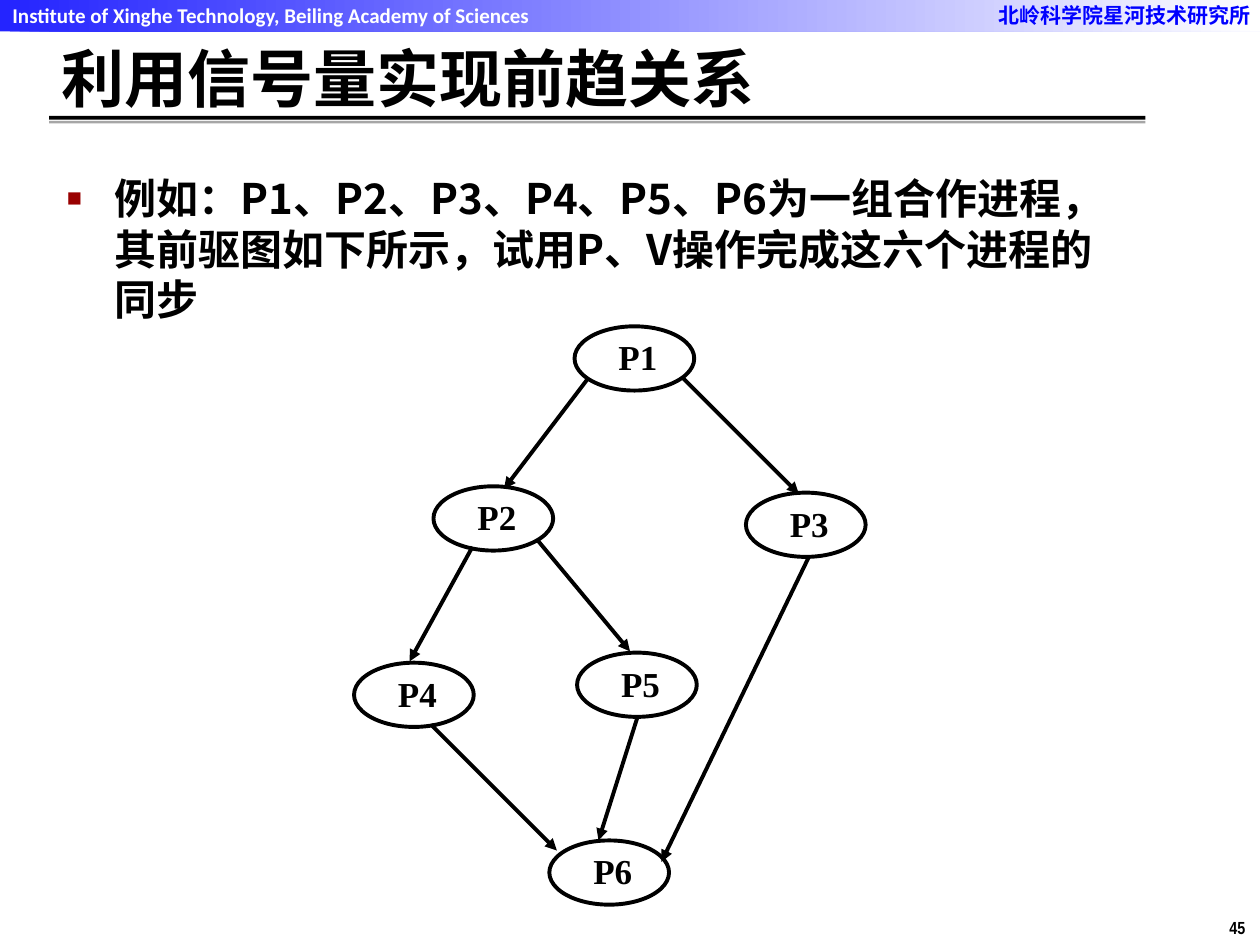
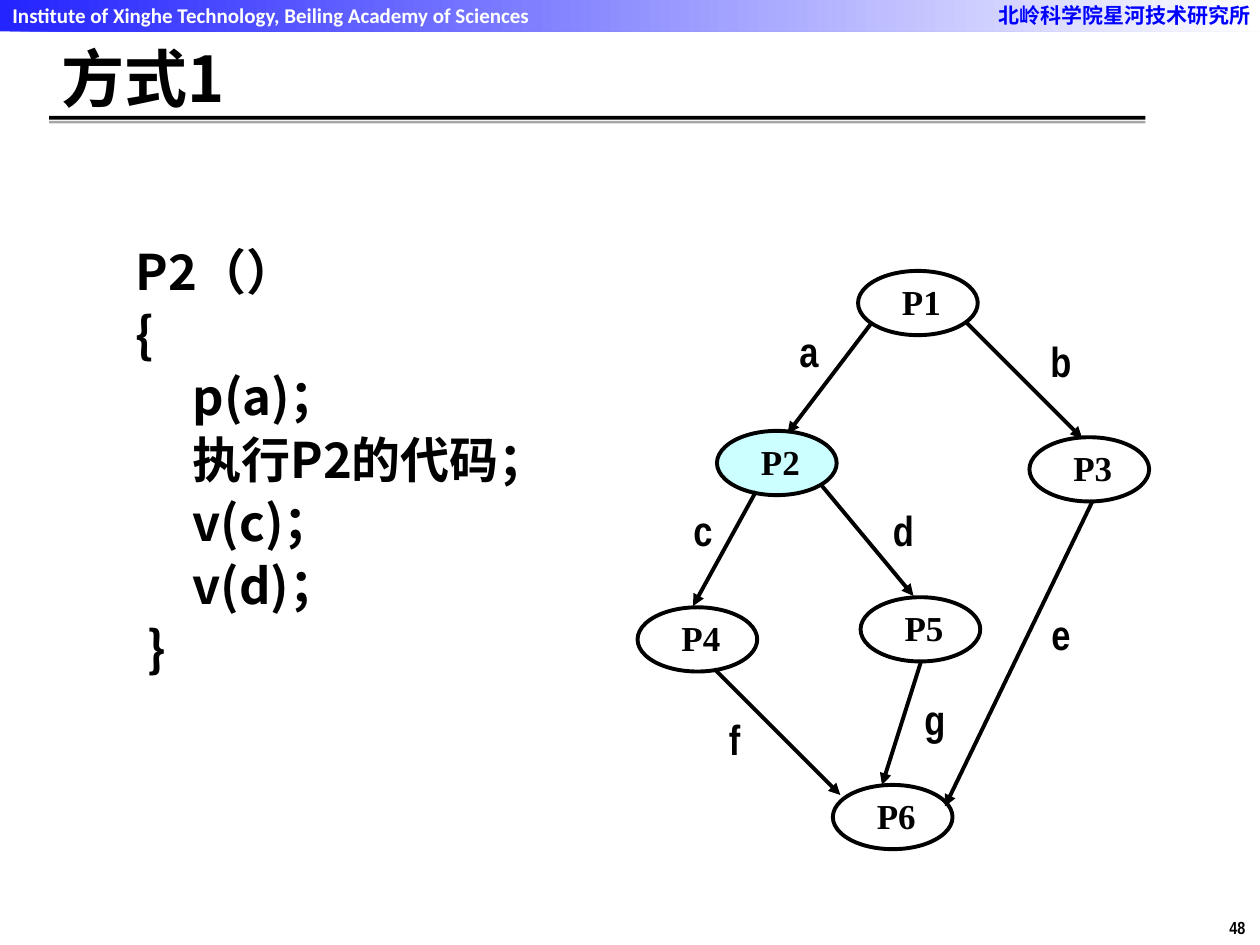
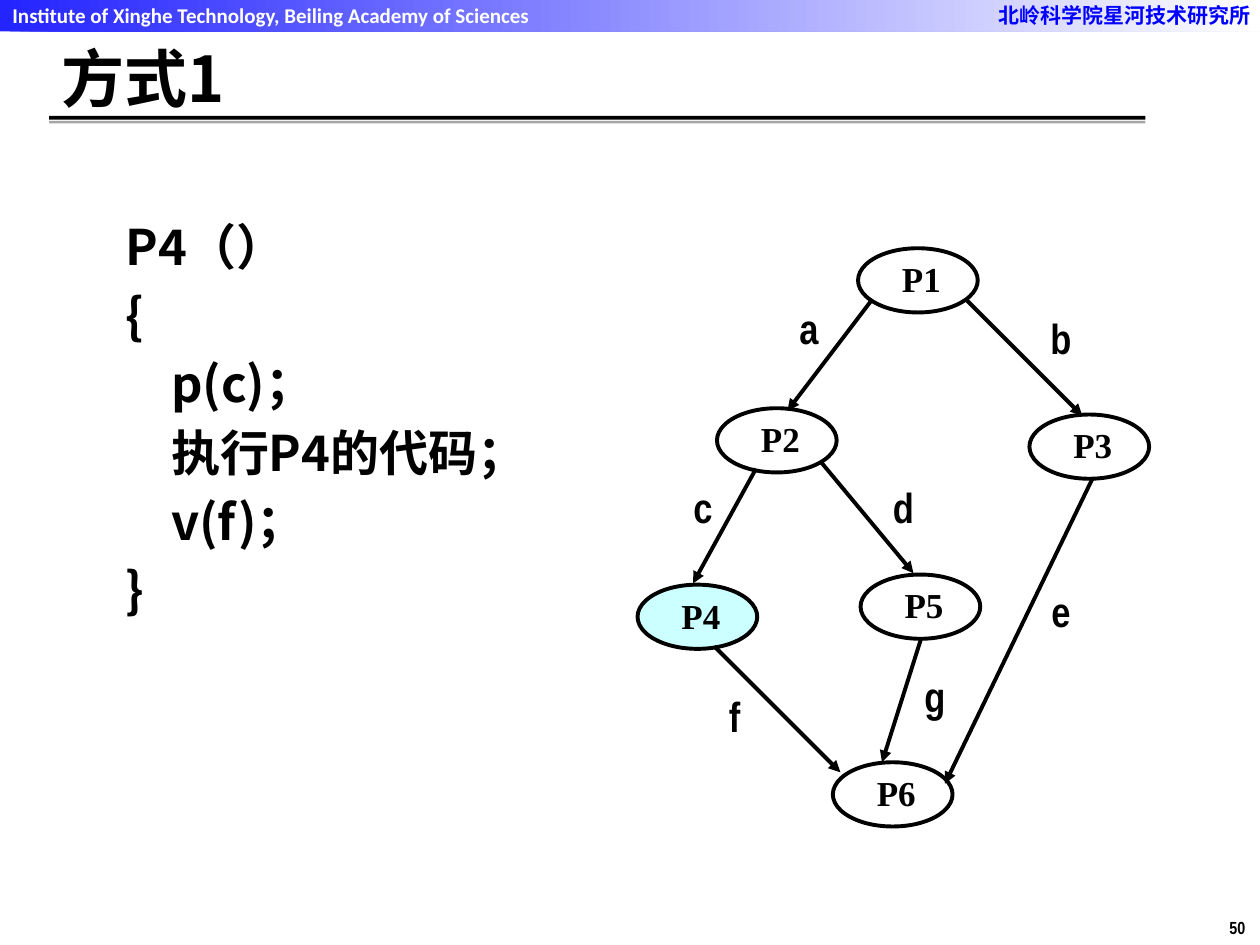
from lxml import etree
from pptx import Presentation
from pptx.dml.color import RGBColor
from pptx.enum.shapes import MSO_CONNECTOR, MSO_SHAPE
from pptx.enum.text import MSO_ANCHOR, MSO_AUTO_SIZE, PP_ALIGN
from pptx.oxml.ns import qn
from pptx.util import Inches, Pt

RECT, OVAL = MSO_SHAPE.RECTANGLE, MSO_SHAPE.OVAL
STRAIGHT = MSO_CONNECTOR.STRAIGHT
TOP, MIDDLE = MSO_ANCHOR.TOP, MSO_ANCHOR.MIDDLE
LEFT, CENTER = PP_ALIGN.LEFT, PP_ALIGN.CENTER
NO_FIT = MSO_AUTO_SIZE.NONE

BLACK, WHITE, BLUE = "000000", "FFFFFF", "0000FF"
GRAY, RED, CYAN = "A6A6A6", "990000", "CCFFFF"
CJK, LATIN, SERIF, NARROW = "Noto Sans CJK SC", "Calibri", "Times New Roman", "Arial Narrow"

INSTITUTE = "Institute of Xinghe Technology, Beiling Academy of Sciences"
INSTITUTE_CN = "北岭科学院星河技术研究所"

NODES = {
    "P1": (4.56, 2.59), "P2": (3.44, 3.86), "P3": (5.92, 3.91),
    "P4": (2.81, 5.26), "P5": (4.58, 5.18), "P6": (4.36, 6.67),
}
EDGES = {
    "a": ((4.67, 3), (4, 3.88)), "b": ((5.42, 3), (6.34, 3.92)),
    "c": ((3.75, 4.34), (3.25, 5.25)), "d": ((4.26, 4.28), (5, 5.17)),
    "e": ((6.42, 4.42), (5.25, 6.84)), "f": ((3.42, 5.75), (4.42, 6.75)),
    "g": ((5.06, 5.69), (4.75, 6.67)),
}
LABELS = {
    "a": (3.92, 3.01), "b": (5.92, 3.09), "c": (3.08, 4.43), "d": (4.67, 4.43),
    "e": (5.92, 5.26), "f": (3.33, 6.09), "g": (4.92, 5.93),
}


def rgb(color):
    """Turn a hex string into a colour."""
    return RGBColor.from_string(color)


def add_xml(parent, tag, **attrs):
    """Append a DrawingML element."""
    return etree.SubElement(parent, qn(tag), attrs)


def box(left, top, width, height):
    """Convert a box from inches."""
    return [Inches(v) for v in (left, top, width, height)]


class Deck:
    """Holds the lecture style and the current slide."""

    def __init__(self):
        """Open an empty 10 by 7.5 inch deck."""
        self.prs = Presentation()
        self.prs.slide_width, self.prs.slide_height = Inches(10), Inches(7.5)
        self.s = None

    def slide(self, title, number, layout=5):
        """Start a slide with its header, title, rule and number."""
        self.s = self.prs.slides.add_slide(self.prs.slide_layouts[layout])
        self.band()
        self.text(INSTITUTE_CN, (7.83, -0.03, 2.24, 0.3), 12, CJK, BLUE)
        self.text(str(number), (9.66, 7.23, 0.34, 0.27), 10, NARROW, wrap=False)
        self.text(INSTITUTE, (0, -0.03, 4.75, 0.3), 12, LATIN, WHITE)
        self.shape(RECT, (0.39, 0.92, 8.7, 0.03), BLACK)
        self.shape(RECT, (0.39, 0.96, 8.7, 0.02), GRAY)
        self.placeholder(0, title, (0.39, 0.33, 8.68, 0.56), 36, MIDDLE)

    def style(self, p, size, font, color=BLACK):
        """Format every run of a paragraph."""
        for r in p.runs:
            r.font.size, r.font.bold, r.font.name = Pt(size), True, font
            r.font.color.rgb = rgb(color)
            if font == CJK:
                add_xml(r.font._element, "a:ea", typeface=font)

    def shape(self, kind, place, fill):
        """Add a flat preset shape without a line."""
        sp = self.s.shapes.add_shape(kind, *box(*place))
        sp.shadow.inherit = False
        sp.fill.solid()
        sp.fill.fore_color.rgb = rgb(fill)
        sp.line.fill.background()
        return sp

    def band(self):
        """Add the fading header band."""
        sp = self.shape(RECT, (0, 0, 10, 0.25), BLUE)
        sp.fill.gradient()
        sp.fill.gradient_angle = 0
        for stop, color in zip(sp.fill.gradient_stops, (BLUE, WHITE)):
            stop.color.rgb = rgb(color)
        for clr in sp._element.spPr.iter(qn("a:srgbClr")):
            add_xml(clr, "a:alpha", val="85000")

    def text(self, text, place, size, font, color=BLACK, wrap=True):
        """Add a one-paragraph text box."""
        tf = self.s.shapes.add_textbox(*box(*place)).text_frame
        tf.word_wrap = wrap
        tf.text = text
        self.style(tf.paragraphs[0], size, font, color)
        return tf

    def placeholder(self, idx, text, place, size, anchor):
        """Fill and move a template placeholder."""
        sp = self.s.placeholders[idx]
        sp.left, sp.top, sp.width, sp.height = box(*place)
        tf = sp.text_frame
        tf.text = text
        tf.auto_size, tf.vertical_anchor = NO_FIT, anchor
        p = tf.paragraphs[0]
        p.alignment = LEFT
        self.style(p, size, CJK)
        return p

    def bullet(self, text):
        """Put one bulleted paragraph into the body placeholder."""
        p = self.placeholder(1, text, (0.43, 1.32, 8.64, 5.84), 24, TOP)
        p.space_before = Pt(4.8)
        pPr = p._p.get_or_add_pPr()
        pPr.set("marL", str(Inches(0.38)))
        pPr.set("indent", str(-Inches(0.38)))
        add_xml(add_xml(pPr, "a:buClr"), "a:srgbClr", val=RED)
        add_xml(pPr, "a:buSzPct", val="60000")
        add_xml(pPr, "a:buChar", char="■")

    def code(self, lines, place, spacing):
        """Add a listing from pairs of indent and text."""
        tf = self.s.shapes.add_textbox(*box(*place)).text_frame
        tf.word_wrap = True
        tf.text = "\n".join(line for _, line in lines)
        for p, (indent, _) in zip(tf.paragraphs, lines):
            p.line_spacing, p.space_before = spacing, Pt(5.6)
            p._p.get_or_add_pPr().set("marL", str(Inches(indent)))
            self.style(p, 28, CJK)

    def node(self, name, left, top, fill):
        """Add a process ellipse."""
        sp = self.shape(OVAL, (left, top, 0.95, 0.51), fill)
        sp.line.color.rgb, sp.line.width = rgb(BLACK), Pt(2.25)
        tf = sp.text_frame
        tf.margin_left = Inches(0.21)
        tf.margin_top = tf.margin_right = tf.margin_bottom = 0
        tf.vertical_anchor = TOP
        tf.text = name
        tf.paragraphs[0].alignment = LEFT
        self.style(tf.paragraphs[0], 20, SERIF)

    def arrow(self, x1, y1, x2, y2):
        """Add an arrow between two points."""
        cn = self.s.shapes.add_connector(STRAIGHT, *box(x1, y1, x2, y2))
        cn.line.color.rgb, cn.line.width = rgb(BLACK), Pt(2.25)
        add_xml(cn.line._get_or_add_ln(), "a:tailEnd", type="triangle")
        add_xml(cn._element.spPr, "a:effectLst")

    def label(self, name, left, top):
        """Add a semaphore name beside its arrow."""
        tf = self.text(name, (left, top, 0.5, 0.42), 24, NARROW, wrap=False)
        tf.margin_left = tf.margin_top = tf.margin_right = tf.margin_bottom = 0
        tf.vertical_anchor = MIDDLE
        tf.paragraphs[0].alignment = CENTER

    def graph(self, dx=0, dy=0, current=None, labelled=True):
        """Draw the precedence graph shifted by dx and dy."""
        for name, (x, y) in NODES.items():
            self.node(name, x + dx, y + dy, CYAN if name == current else WHITE)
        for (x1, y1), (x2, y2) in EDGES.values():
            self.arrow(x1 + dx, y1 + dy, x2 + dx, y2 + dy)
        if labelled:
            for name, (x, y) in LABELS.items():
                self.label(name, x + dx, y + dy)


def main():
    """Build the three slides."""
    deck = Deck()

    deck.slide("利用信号量实现前趋关系", 45, layout=1)
    deck.bullet("例如：P1、P2、P3、P4、P5、P6为一组合作进程，其前驱图如下所示，"
                "试用P、V操作完成这六个进程的同步")
    deck.graph(labelled=False)

    deck.slide("方式1", 48)
    deck.code([(0, "P2（）"), (0, "{"), (0.45, "p(a)；"), (0.45, "执行P2的代码；"),
               (0.45, "v(c)；"), (0.45, "v(d)；"), (0.09, "}")],
              (0.98, 1.92, 3.68, 3.88), 0.9)
    deck.graph(2.25, -0.44, "P2")

    deck.slide("方式1", 50)
    deck.code([(0, "P4（）"), (0, "{"), (0.36, "p(c)；"), (0.36, "执行P4的代码；"),
               (0.36, "v(f)；"), (0, "}")],
              (0.9, 1.67, 3.7, 3.66), 1.0)
    deck.graph(2.25, -0.62, "P4")

    deck.prs.save("out.pptx")


if __name__ == "__main__":
    main()
